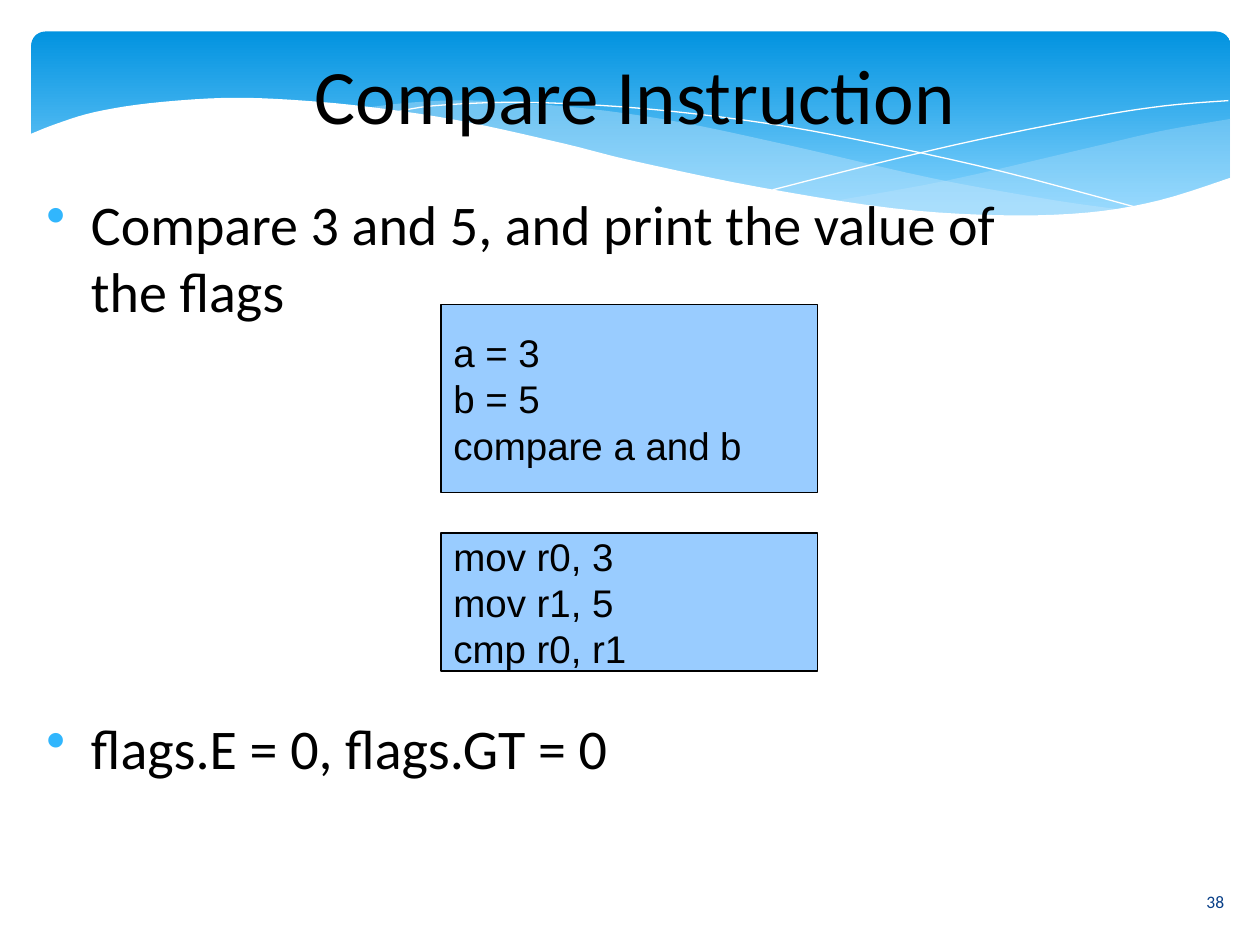
import pptx
import pptx.dml.color
import pptx.enum.shapes
import pptx.enum.text
import pptx.oxml
import pptx.oxml.ns
import pptx.util

Pt = pptx.util.Pt
ALIGN = pptx.enum.text.PP_ALIGN
ANCHOR = pptx.enum.text.MSO_ANCHOR
SHAPES = pptx.enum.shapes.MSO_SHAPE
COLORS = {"sky_top": "0293E0", "sky_bottom": "83D3FE", "mist": "C6E7FC", "white": "FFFFFF",
          "black": "000000", "code": "99CCFF", "bullet": "31B6FD", "number": "073E87"}


def rgb(name):
    return pptx.dml.color.RGBColor.from_string(COLORS[name])


def element(tag, **attributes):
    node = pptx.oxml.parse_xml(f"<a:{tag} {pptx.oxml.ns.nsdecls('a')}/>")
    for key, value in attributes.items():
        node.set(key, str(value))
    return node


def style(part, fill=None, line=None, opacity=None):
    part.shadow.inherit = False
    if fill:
        part.fill.solid()
        part.fill.fore_color.rgb = rgb(fill)
        if opacity:
            color = next(part.fill._xPr.iter(pptx.oxml.ns.qn("a:srgbClr")))
            color.append(element("alpha", val=opacity * 1000))
    else:
        part.fill.background()
    if line:
        part.line.color.rgb = rgb(line)
        part.line.width = Pt(0)
    else:
        part.line.fill.background()


def write(part, text, size, font="Calibri", color="black", align=ALIGN.LEFT,
          anchor=ANCHOR.MIDDLE, margins=(0, 0), bullet_indent=None, gap=0):
    """One paragraph per item; a newline inside an item is a line break."""
    frame = part.text_frame
    frame.word_wrap = True
    frame.vertical_anchor = anchor
    frame.margin_left = frame.margin_right = Pt(margins[0])
    frame.margin_top = frame.margin_bottom = Pt(margins[1])
    for index, item in enumerate(text):
        paragraph = frame.add_paragraph() if index else frame.paragraphs[0]
        paragraph.text = item.replace("\n", "\v")
        paragraph.alignment = align
        paragraph.space_before = Pt(gap if index else 0)
        for run in paragraph.runs:
            run.font.size, run.font.name = Pt(size), font
            run.font.color.rgb = rgb(color)
        if bullet_indent:
            properties = paragraph._p.get_or_add_pPr()
            properties.set("marL", str(Pt(bullet_indent[0])))
            properties.set("indent", str(Pt(bullet_indent[1])))
            bullet_color = element("buClr")
            bullet_color.append(element("srgbClr", val=COLORS["bullet"]))
            properties.append(bullet_color)
            properties.append(element("buChar", char="•"))


def smooth(knots, steps=5):
    """Points of a Catmull-Rom curve through the knots."""
    padded = [knots[0], *knots, knots[-1]]
    points = []
    for a, b, c, d in zip(padded, padded[1:], padded[2:], padded[3:]):
        for t in (step / steps for step in range(steps)):
            points.append(tuple(
                0.5 * (2 * q + (r - p) * t + (2 * p - 5 * q + 4 * r - s) * t ** 2
                       + (3 * q - p - 3 * r + s) * t ** 3)
                for p, q, r, s in zip(a, b, c, d)))
    return points + [knots[-1]]


def outline(slide, left, top, points, closed=True, **look):
    corners = [(Pt(left + x), Pt(top + y)) for x, y in points]
    builder = slide.shapes.build_freeform(*corners[0], scale=1.0)
    builder.add_line_segments(corners[1:], close=closed)
    style(builder.convert_to_shape(), **look)


def banner(slide, left, top, width, height):
    sky = slide.shapes.add_shape(SHAPES.ROUNDED_RECTANGLE, Pt(left), Pt(top), Pt(width), Pt(height))
    sky.adjustments[0] = 0.07
    style(sky)
    sky.fill.gradient()
    sky.fill.gradient_angle = 270
    for stop, color, position in zip(sky.fill.gradient_stops, ("sky_top", "sky_bottom"), (0, 0.9)):
        stop.color.rgb, stop.position = rgb(color), position

    # Translucent waves, each an upper and a lower edge
    right_wave = (
        [(685, 50), (645, 57), (602, 67), (524, 85), (458, 97)],
        [(458, 97), (509, 103), (560, 106), (603, 104), (645, 97), (685, 84)])
    long_wave = (
        [(625, 102), (585, 96.5), (515.5, 84), (435, 65.5), (371.5, 52), (317, 44),
         (255.5, 39.5), (218, 40.5), (188, 44)],
        [(188, 44), (242.5, 52), (305, 65.5), (389.5, 85), (450, 96), (502, 103),
         (555, 106.5), (592.5, 106), (625, 102)])
    for (upper, lower), opacity in ((right_wave, 29), (long_wave, 40)):
        outline(slide, left, top, smooth(upper) + smooth(lower), fill="mist", opacity=opacity)

    # Thin white curves
    falling = [(204.5, 47), (229.5, 42.5), (281.5, 40.5), (349, 44), (420, 52.5),
               (482.5, 64), (554.5, 80), (635, 101.5)]
    rising = [(423.5, 90.5), (482.5, 75.5), (540.5, 62), (605.5, 49), (647.5, 42.5), (684, 39.5)]
    for curve in (falling, rising):
        outline(slide, left, top, smooth(curve), closed=False, line="white")

    # White page edge that cuts the banner
    edge = [(685.5, 83.5), (644.5, 96.5), (603.5, 103.5), (553, 105), (492, 101), (416, 89),
            (344, 74), (304, 64), (245, 51), (192, 43), (147.5, 39), (109.5, 38), (67.5, 41),
            (36.5, 46), (15, 52.5), (-1.5, 59)]
    outline(slide, left, top, smooth(edge) + [(-1.5, 143), (685.5, 143)], fill="white")


def text_area(slide, left, top, width, height, text, size, **look):
    area = slide.shapes.add_textbox(Pt(left), Pt(top), Pt(width), Pt(height))
    write(area, text, size, **look)


def code_box(slide, left, top, width, height, lines):
    box = slide.shapes.add_shape(SHAPES.RECTANGLE, Pt(left), Pt(top), Pt(width), Pt(height))
    style(box, fill="code", line="black")
    write(box, lines, 22, font="Arial", margins=(7.2, 3.6))


def compare_slide(deck):
    slide = deck.slides.add_slide(deck.slide_layouts[6])
    banner(slide, 18, 18, 685, 112)

    # Slide number, title and bullets
    text_area(slide, 672.5, 500.5, 44, 29, ["38"], 10, color="number", align=ALIGN.CENTER)
    text_area(slide, 18, 16.5, 690, 73.5, ["Compare Instruction"], 44, align=ALIGN.CENTER)
    text_area(slide, 18, 108, 678, 356.5,
              ["Compare 3 and 5, and print the value of\nthe flags", "flags.E = 0, flags.GT = 0"],
              32, anchor=ANCHOR.TOP, bullet_indent=(34, -25.5), gap=223)

    # Pseudocode and its assembly
    code_box(slide, 252, 174, 215, 107.5, ["a = 3", "b = 5", "compare a and b"])
    code_box(slide, 252, 304.5, 215, 79, ["mov r0, 3", "mov r1, 5", "cmp r0, r1"])


deck = pptx.Presentation()
deck.slide_width, deck.slide_height = Pt(720), Pt(540)
compare_slide(deck)
deck.save("out.pptx")
